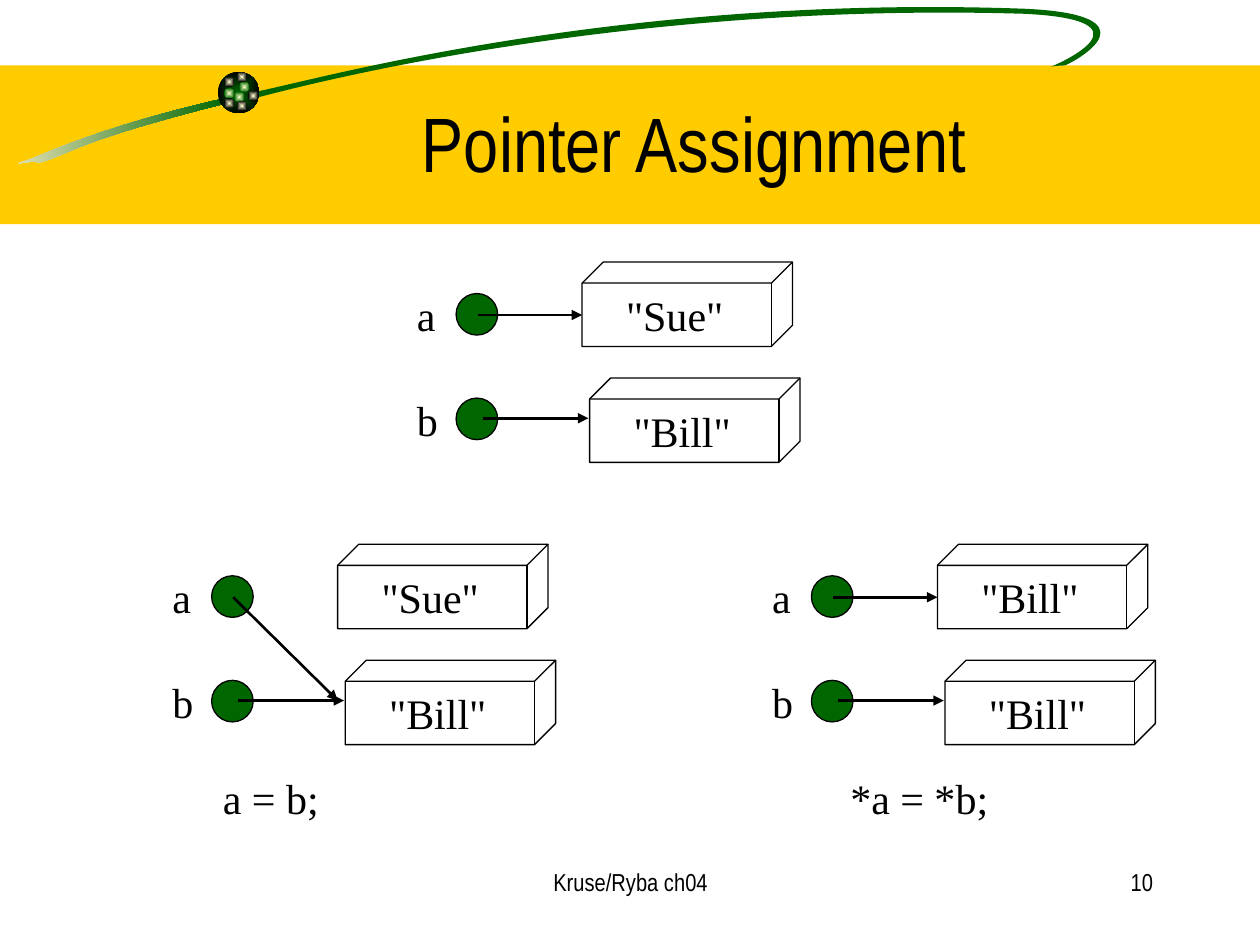
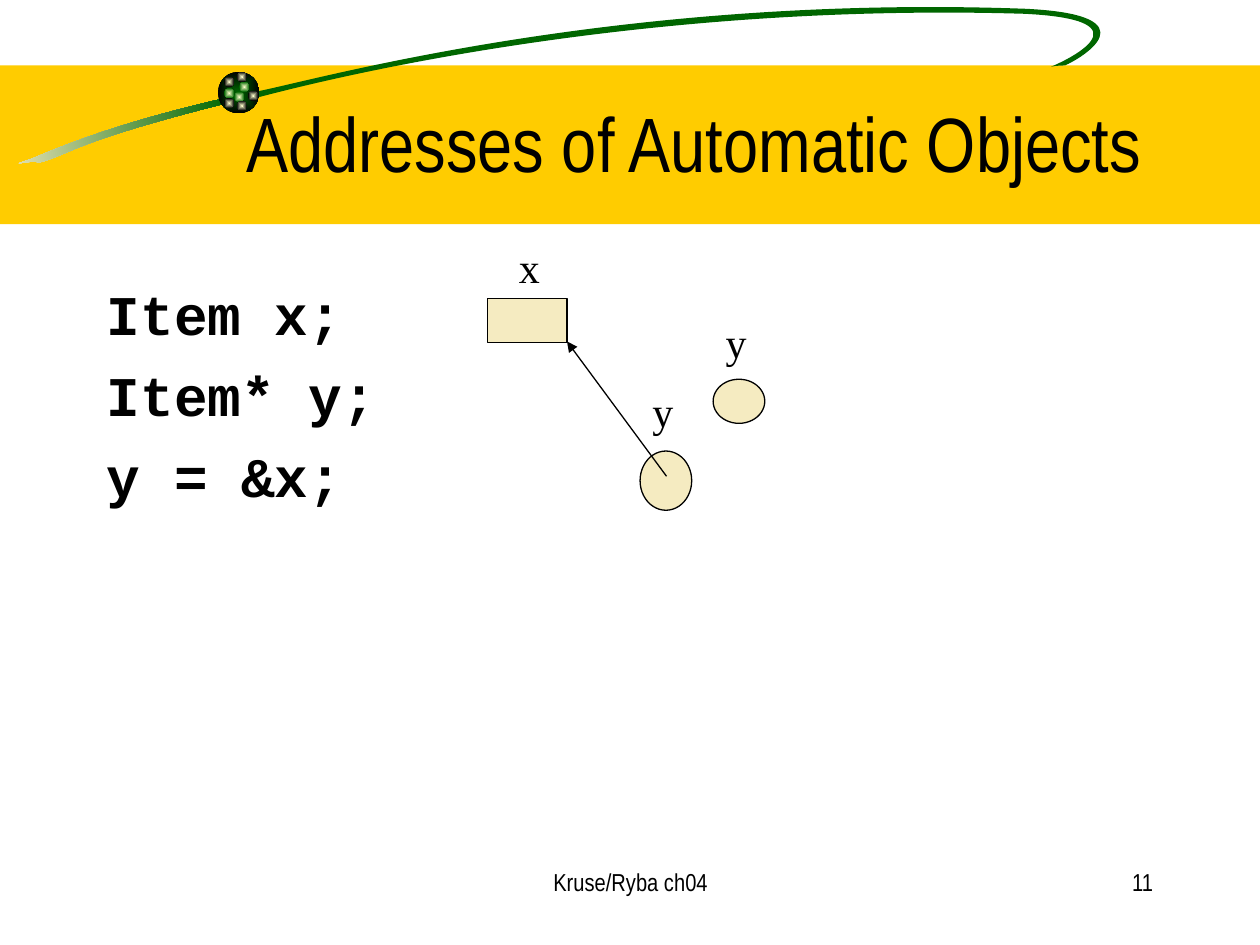
from math import cos, radians, sin

from lxml import etree
from pptx import Presentation
from pptx.dml.color import RGBColor
from pptx.enum.shapes import MSO_CONNECTOR, MSO_SHAPE
from pptx.enum.text import MSO_ANCHOR, PP_ALIGN
from pptx.oxml.ns import qn
from pptx.util import Inches, Pt

RECT, OVAL, CUBE = MSO_SHAPE.RECTANGLE, MSO_SHAPE.OVAL, MSO_SHAPE.CUBE
STRAIGHT = MSO_CONNECTOR.STRAIGHT
LEFT, CENTER, RIGHT = PP_ALIGN.LEFT, PP_ALIGN.CENTER, PP_ALIGN.RIGHT
TOP, MIDDLE = MSO_ANCHOR.TOP, MSO_ANCHOR.MIDDLE

COLORS = {
    "band": "FFCC00",
    "green": "006600",
    "cream": "F5EBC1",
    "glow": "FFFFCC",
    "black": "000000",
    "white": "FFFFFF",
}
HEAD_FONT, CODE_FONT, LABEL_FONT = "Arial Narrow", "Courier New", "Times New Roman"

SWOOSH_TILT = -8.5
TAIL_CENTER, TAIL_START = (0.89, 1.06), (1.78, 0.78)
TAIL_CURVES = [
    (0.91, 0.98), (0.49, 1.16), (0.25, 1.26),
    (0.01, 1.34), (0.26, 1.26), (0.31, 1.29),
    (0.57, 1.22), (0.57, 1.13), (1.79, 0.82),
    (1.79, 0.82), (1.78, 0.78), (1.78, 0.78),
]
LOOP_CENTER, LOOP_START = (5.59, 0.4), (2.02, 0.73)
LOOP_CURVES = [
    (2.46, 0.65), (4.86, -0.05), (8.14, 0.07),
    (9.17, 0.12), (8.57, 0.47), (8.45, 0.52),
    (8.45, 0.52), (8.38, 0.52), (8.34, 0.53),
    (8.44, 0.49), (9.16, 0.16), (8.13, 0.11),
    (5.48, 0.03), (3.2, 0.47), (2.06, 0.77),
    (2.06, 0.77), (2.02, 0.73), (2.02, 0.73),
]
SPARKLES = [
    (1.9, 0.65, "green"), (1.78, 0.61, "black"), (1.78, 0.7, "green"),
    (1.86, 0.73, "green"), (1.97, 0.72, "black"), (1.88, 0.8, "black"),
    (1.78, 0.78, "black"), (1.88, 0.57, "black"),
]


def rgb(name):
    return RGBColor.from_string(COLORS[name])


def inches(*lengths):
    return [Inches(v) for v in lengths]


def paint(sp, fill=None, line=None):
    sp.shadow.inherit = False
    if fill:
        sp.fill.solid()
        sp.fill.fore_color.rgb = rgb(fill)
    else:
        sp.fill.background()
    if line:
        sp.line.color.rgb = rgb(line)
        sp.line.width = Pt(0.75)
    else:
        sp.line.fill.background()


def paint_gradient(sp, first, last, from_center=False):
    paint(sp)
    sp.fill.gradient()
    sp.fill.gradient_angle = 0
    for stop, name in zip(sp.fill.gradient_stops, (first, last)):
        stop.color.rgb = rgb(name)
    if from_center:
        grad = sp.element.spPr.find(qn("a:gradFill"))
        grad.remove(grad.find(qn("a:lin")))
        shade = etree.SubElement(grad, qn("a:path"), {"path": "rect"})
        sides = {side: "50000" for side in "ltrb"}
        etree.SubElement(shade, qn("a:fillToRect"), sides)


def add_box(s, kind, at, fill=None, line=None):
    sp = s.shapes.add_shape(kind, *inches(*at))
    paint(sp, fill, line)
    return sp


def add_veil(s):
    sp = add_box(s, RECT, (0.74, 2.06, 1.22, 5.44), "white")
    color = sp.element.spPr.find(qn("a:solidFill"))[0]
    etree.SubElement(color, qn("a:alpha"), {"val": "50000"})


def add_text(s, lines, at, size, font, align=LEFT, anchor=TOP, bold=False, before=0):
    tf = s.shapes.add_textbox(*inches(*at)).text_frame
    tf.word_wrap = True
    tf.vertical_anchor = anchor
    for i, line in enumerate(lines):
        p = tf.paragraphs[0] if i == 0 else tf.add_paragraph()
        p.alignment = align
        p.space_before = Pt(before)
        r = p.add_run()
        r.text = line
        r.font.size = Pt(size)
        r.font.name = font
        r.font.bold = bold
        r.font.color.rgb = rgb("black")


def add_label(s, text, x, y, width):
    add_text(s, [text], (x, y, width, 0.5), 24, LABEL_FONT)


def add_arrow(s, start, end, width=1.5):
    cn = s.shapes.add_connector(STRAIGHT, *inches(*start, *end))
    cn.line.color.rgb = rgb("black")
    cn.line.width = Pt(width)
    cn.line._get_or_add_ln().append(
        etree.Element(qn("a:tailEnd"), {"type": "triangle"}))
    etree.SubElement(cn._element.spPr, qn("a:effectLst"))


def level(point, center):
    angle = radians(-SWOOSH_TILT)
    dx, dy = point[0] - center[0], point[1] - center[1]
    return inches(center[0] + dx * cos(angle) - dy * sin(angle),
                  center[1] + dx * sin(angle) + dy * cos(angle))


def add_swoosh(s, center, start, curves):
    builder = s.shapes.build_freeform(*level(start, center))
    builder.add_line_segments([level(p, center) for p in curves], close=True)
    sp = builder.convert_to_shape()
    segments = list(sp.element.spPr.iter(qn("a:lnTo")))
    for i in range(0, len(segments), 3):
        curve = etree.Element(qn("a:cubicBezTo"))
        segments[i].addprevious(curve)
        for segment in segments[i:i + 3]:
            curve.append(segment[0])
            segment.getparent().remove(segment)
    sp.rotation = SWOOSH_TILT
    return sp


def add_frame(prs, title, number):
    s = prs.slides.add_slide(prs.slide_layouts[6])
    add_box(s, RECT, (0, 0.52, 10, 1.26), "band")
    tail = add_swoosh(s, TAIL_CENTER, TAIL_START, TAIL_CURVES)
    paint_gradient(tail, "cream", "green")
    paint(add_swoosh(s, LOOP_CENTER, LOOP_START, LOOP_CURVES), "green")
    ball = add_box(s, OVAL, (1.73, 0.57, 0.33, 0.33))
    paint_gradient(ball, "green", "black", from_center=True)
    for x, y, edge in SPARKLES:
        sparkle = add_box(s, OVAL, (x, y, 0.08, 0.08))
        paint_gradient(sparkle, "glow", edge, from_center=True)
    add_veil(s)
    add_text(s, ["Kruse/Ryba ch04"], (3.42, 6.83, 3.17, 0.5), 14, HEAD_FONT, CENTER)
    add_text(s, [str(number)], (7.17, 6.83, 2.08, 0.5), 14, HEAD_FONT, RIGHT)
    add_text(s, [title], (1.26, 0.5, 8.5, 1.25), 44, HEAD_FONT, CENTER, MIDDLE)
    return s


def add_pointers(s, x, y, a_value, b_value, a_target_y=0.25):
    rows = [("a", a_value, 0, 0, 0), ("b", b_value, 0.83, 0.06, 0.92)]
    for name, value, name_dy, dx, dy in rows:
        add_box(s, CUBE, (x + 1.41 + dx, y - 0.17 + dy, 1.67, 0.67), line="black")
        add_label(s, value, x + 1.66 + dx, y + dy, 1.25)
        add_box(s, OVAL, (x + 0.41, y + 0.08 + name_dy, 0.33, 0.33), "green", "black")
        add_label(s, name, x, y + name_dy, 0.42)
    add_arrow(s, (x + 0.58, y + 0.25), (x + 1.41, y + a_target_y))
    add_arrow(s, (x + 0.62, y + 1.07), (x + 1.46, y + 1.07))


def add_pointer_assignment(prs):
    s = add_frame(prs, "Pointer Assignment", 10)
    add_pointers(s, 1.27, 4.49, '"Sue"', '"Bill"', a_target_y=1.07)
    add_label(s, "a = b;", 1.67, 6.08, 2.9)
    add_pointers(s, 3.21, 2.25, '"Sue"', '"Bill"')
    add_pointers(s, 6.03, 4.49, '"Bill"', '"Bill"')
    add_label(s, "*a = *b;", 6.65, 6.08, 1.44)


def add_automatic_objects(prs):
    s = add_frame(prs, "Addresses of Automatic Objects", 11)
    add_text(s, ["Item x;", "Item* y;", "y = &x;"], (0.75, 2.17, 8.5, 4.5),
             32, CODE_FONT, bold=True, before=8)
    add_box(s, RECT, (3.87, 2.37, 0.63, 0.35), "cream", "black")
    add_label(s, "x", 4.02, 1.87, 0.63)
    for x, y, height, label_y in [(5.66, 3.01, 0.35, 2.46), (5.08, 3.58, 0.47, 3.01)]:
        add_box(s, OVAL, (x, y, 0.41, height), "cream", "black")
        add_label(s, "y", x, label_y, 0.41)
    add_arrow(s, (5.29, 3.78), (4.5, 2.71), 0.75)


def main():
    prs = Presentation()
    prs.slide_width, prs.slide_height = inches(10, 7.5)
    add_pointer_assignment(prs)
    add_automatic_objects(prs)
    prs.save("out.pptx")


if __name__ == "__main__":
    main()
